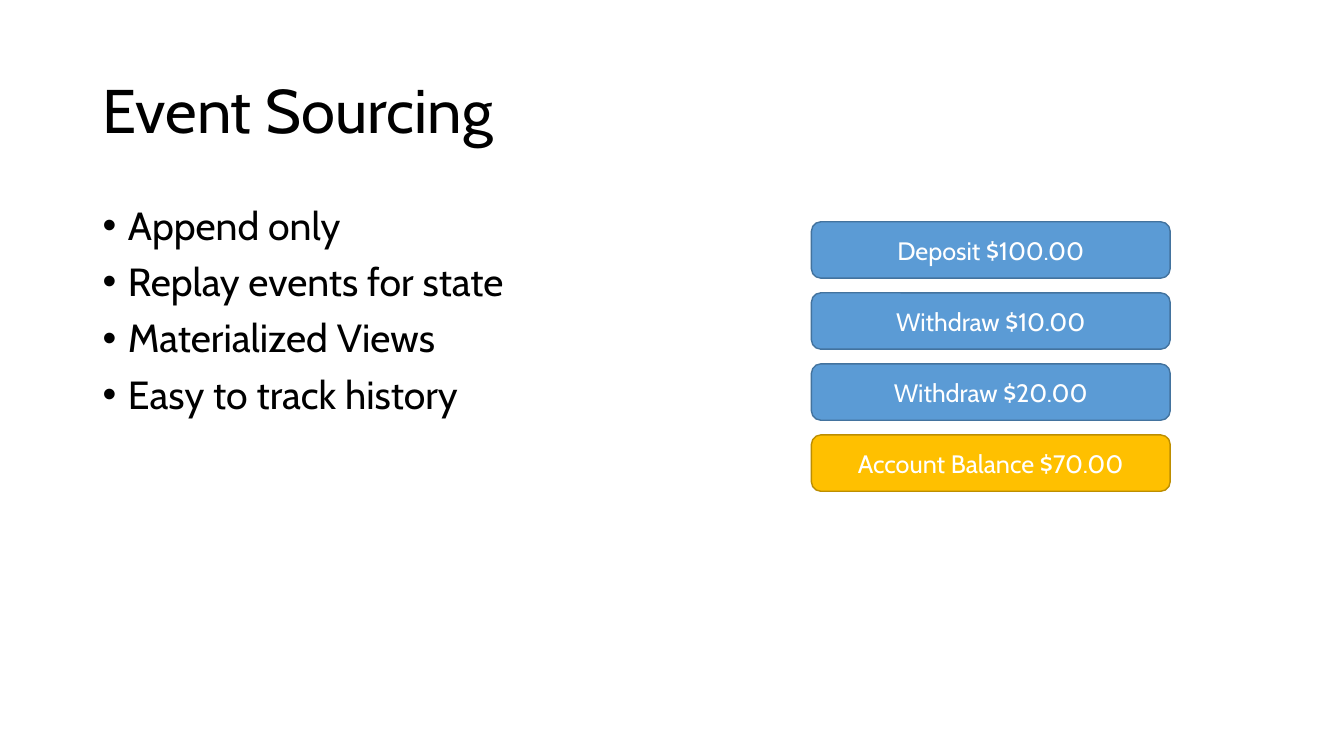
from pptx import Presentation
from pptx import util as u
from pptx.dml import color
from pptx.enum import shapes, text

COLORS = {
    "ink": "000000",
    "label": "FFFFFF",
    "event": "5B9BD5",
    "event_edge": "43739E",
    "balance": "FFC000",
    "balance_edge": "BD8E00",
}
POINTS = ["Append only", "Replay events for state", "Materialized Views", "Easy to track history"]
LEDGER = [
    ("Deposit $100.00", "event"),
    ("Withdraw $10.00", "event"),
    ("Withdraw $20.00", "event"),
    ("Account Balance $70.00", "balance"),
]
LEDGER_TOP = 5.59
LEDGER_STEP = 1.79
HANGING = u.Cm(0.64)


def rgb(name):
    return color.RGBColor.from_string(COLORS[name])


def apply(target, values):
    for key, value in values.items():
        setattr(target, key, value)


def box(left, top, width, height):
    sides = {"left": left, "top": top, "width": width, "height": height}
    return {side: u.Cm(length) for side, length in sides.items()}


def write(paragraph, words, size, ink, layout):
    paragraph.text = words
    apply(paragraph, layout)
    apply(paragraph.font, {"name": "Cabin", "size": u.Pt(size)})
    paragraph.font.color.rgb = rgb(ink)


def set_heading(heading, words):
    apply(heading, box(2.33, 1.01, 29.21, 3.68))
    apply(heading.text_frame, {
        "vertical_anchor": text.MSO_ANCHOR.MIDDLE,
        "auto_size": text.MSO_AUTO_SIZE.NONE,
    })
    write(heading.text_frame.paragraphs[0], words, 44, "ink",
          {"alignment": text.PP_ALIGN.LEFT, "line_spacing": 0.9})


def set_points(points, lines):
    apply(points, box(2.33, 5.07, 11.75, 12.09))
    frame = points.text_frame
    frame.auto_size = text.MSO_AUTO_SIZE.NONE
    for index, line in enumerate(lines):
        point = frame.add_paragraph() if index else frame.paragraphs[0]
        properties = point._p.get_or_add_pPr()
        properties.set("marL", str(HANGING))
        properties.set("indent", str(-HANGING))
        write(point, line, 28, "ink",
              {"line_spacing": 0.9, "space_before": u.Pt(10 if index else 0)})


def add_entry(slide, words, kind, top):
    place = box(20.45, top, 9.04, 1.42)
    entry = slide.shapes.add_shape(shapes.MSO_SHAPE.ROUNDED_RECTANGLE, *place.values())
    entry.shadow.inherit = False
    entry.fill.solid()
    entry.fill.fore_color.rgb = rgb(kind)
    entry.line.color.rgb = rgb(kind + "_edge")
    entry.line.width = u.Pt(1)
    entry.text_frame.vertical_anchor = text.MSO_ANCHOR.MIDDLE
    write(entry.text_frame.paragraphs[0], words, 18, "label",
          {"alignment": text.PP_ALIGN.CENTER})


def main():
    deck = Presentation()
    apply(deck, {"slide_width": u.Cm(33.87), "slide_height": u.Cm(19.05)})
    slide = deck.slides.add_slide(deck.slide_layouts[1])
    set_heading(slide.shapes.title, "Event Sourcing")
    set_points(slide.placeholders[1], POINTS)
    for row, (words, kind) in enumerate(LEDGER):
        add_entry(slide, words, kind, LEDGER_TOP + row * LEDGER_STEP)
    deck.save("out.pptx")


if __name__ == "__main__":
    main()
